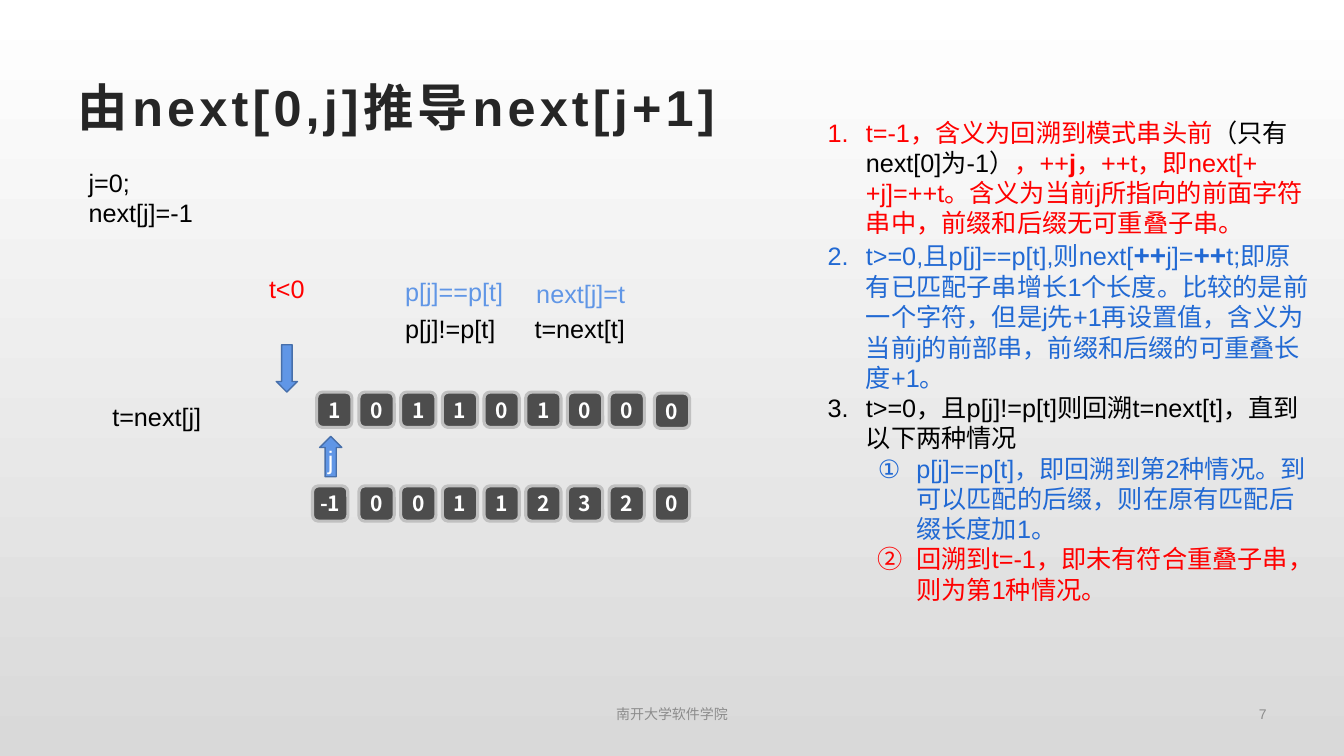
from lxml import etree
from pptx import Presentation
from pptx.dml.color import RGBColor
from pptx.enum.shapes import MSO_SHAPE
from pptx.enum.text import MSO_ANCHOR, MSO_AUTO_SIZE, PP_ALIGN
from pptx.oxml.ns import qn
from pptx.util import Inches, Pt

LEFT, CENTER, RIGHT = PP_ALIGN.LEFT, PP_ALIGN.CENTER, PP_ALIGN.RIGHT
MIDDLE = MSO_ANCHOR.MIDDLE
GROW, FIXED = MSO_AUTO_SIZE.SHAPE_TO_FIT_TEXT, MSO_AUTO_SIZE.NONE
ROUND, UP, DOWN = (MSO_SHAPE.ROUNDED_RECTANGLE, MSO_SHAPE.UP_ARROW,
                   MSO_SHAPE.DOWN_ARROW)

LATIN, HAN = "Arial", "Noto Sans CJK SC"
BLACK, WHITE, RED = "000000", "FFFFFF", "FF0000"
SKY, BLUE, EDGE = "6096E6", "2169D3", "476FAA"
DARK, SILVER, GRAY, INK = "4D4D4D", "C0C0C0", "8C8C8C", "262626"

# Each rule: level, then runs of text, colour, bold, size
RULES = [
    (0, [("t=-1，含义为回溯到模式串头前", RED, False, 18),
         ("（只有next[0]为-1）", BLACK, False, 18),
         ("，++", RED, False, 18),
         ("j", RED, True, 18),
         ("，++t，即next[++j]=++t。含义为当前j所指向的前面字符串中，"
          "前缀和后缀无可重叠子串。", RED, False, 18)]),
    (0, [("t>=0,且p[j]==p[t],则next[", BLUE, False, 18),
         ("++", BLUE, True, 20),
         ("j]=", BLUE, False, 18),
         ("++", BLUE, True, 20),
         ("t;即原有已匹配子串增长1个长度。比较的是前一个字符，"
          "但是j先+1再设置值，含义为当前j的前部串，"
          "前缀和后缀的可重叠长度+1。", BLUE, False, 18)]),
    (0, [("t>=0，且p[j]!=p[t]则回溯t=next[t]，直到以下两种情况",
          BLACK, False, 18)]),
    (1, [("p[j]==p[t]，即回溯到第2种情况。到可以匹配的后缀，"
          "则在原有匹配后缀长度加1。", BLUE, False, 18)]),
    (1, [("回溯到t=-1，即未有符合重叠子串，则为第1种情况。",
          RED, False, 18)]),
]


def color(text):
    return RGBColor.from_string(text)


def style(run, size, hue, bold=False, face=LATIN):
    font = run.font
    font.size, font.bold, font.name = Pt(size), bold, face
    font.color.rgb = color(hue)
    etree.SubElement(run.font._element, qn("a:ea"), typeface=HAN)


def write(frame, text, size, hue, align=LEFT, bold=False, face=LATIN):
    frame.text = text
    for para in frame.paragraphs:
        para.alignment = align
        for run in para.runs:
            style(run, size, hue, bold, face)


def place(item, x, y, w, h):
    item.left, item.top = Inches(x), Inches(y)
    item.width, item.height = Inches(w), Inches(h)


def add_box(slide, x, y, w, h, wrap=True):
    box = slide.shapes.add_textbox(Inches(x), Inches(y), Inches(w), Inches(h))
    box.text_frame.word_wrap = wrap
    return box.text_frame


def add_label(slide, text, x, y, w, h=0.4, hue=BLACK, align=LEFT, wrap=True):
    frame = add_box(slide, x, y, w, h, wrap)
    frame.auto_size = GROW
    write(frame, text, 18, hue, align)


def add_footer(slide, text, x, w, align):
    frame = add_box(slide, x, 6.91, w, 0.35)
    frame.vertical_anchor = MIDDLE
    write(frame, text, 10, GRAY, align)


def add_block(slide, kind, x, y, w, h, fill, line, width):
    block = slide.shapes.add_shape(kind, Inches(x), Inches(y),
                                   Inches(w), Inches(h))
    block.shadow.inherit = False
    block.fill.solid()
    block.fill.fore_color.rgb = color(fill)
    block.line.color.rgb = color(line)
    block.line.width = Pt(width)
    block.text_frame.vertical_anchor = MIDDLE
    return block


def add_cell(slide, text, x, y):
    cell = add_block(slide, ROUND, x, y, 0.35, 0.35, DARK, SILVER, 2.25)
    frame = cell.text_frame
    frame.word_wrap = False
    frame.margin_left = frame.margin_right = 0
    frame.margin_top = frame.margin_bottom = 0
    write(frame, text, 15, WHITE, CENTER, True, HAN)


def add_row(slide, values, first, y, last):
    # Inner cells share one step; the end cells stand slightly apart
    inner = [3.56 + 0.4135 * i for i in range(len(values) - 2)]
    for text, x in zip(values[:-1], [first] + inner):
        add_cell(slide, text, x, y)
    add_cell(slide, values[-1], 6.49, last)


def add_rules(slide):
    frame = add_box(slide, 8.11, 1.11, 4.97, 5.28)
    frame.auto_size = GROW
    for i, (level, parts) in enumerate(RULES):
        para = frame.paragraphs[0] if i == 0 else frame.add_paragraph()
        para.level = level
        props = para._p.get_or_add_pPr()
        props.set("marL", str(Inches(0.38 + 0.5 * level)))
        props.set("indent", str(-Inches(0.38)))
        kind = "circleNumDbPlain" if level else "arabicPeriod"
        etree.SubElement(props, qn("a:buFont"), typeface="+mj-lt")
        etree.SubElement(props, qn("a:buAutoNum"), type=kind)
        for text, hue, bold, size in parts:
            run = para.add_run()
            run.text = text
            style(run, size, hue, bold)


def add_title(slide, text):
    title = slide.shapes.title
    place(title, 0.67, 0.67, 12, 0.77)
    frame = title.text_frame
    frame.vertical_anchor, frame.auto_size = MIDDLE, FIXED
    write(frame, text, 36, INK, bold=True)
    frame.paragraphs[0].runs[0].font._element.set("spc", "300")


def set_back(slide):
    fill = slide.background.fill
    fill.gradient()
    fill.gradient_angle = 270
    for stop, hue in zip(fill.gradient_stops, (WHITE, "D9D9D9")):
        stop.color.rgb = color(hue)


def main():
    deck = Presentation()
    deck.slide_width, deck.slide_height = Inches(13.33), Inches(7.5)
    slide = deck.slides.add_slide(deck.slide_layouts[5])
    set_back(slide)
    add_title(slide, "由next[0,j]推导next[j+1]")

    # Pattern row and next row
    add_row(slide, list("101101000"), 3.14, 3.89, 3.9)
    add_row(slide, ["-1"] + list("00112320"), 3.1, 4.82, 4.82)

    # Pointers
    arrow = add_block(slide, UP, 3.17, 4.33, 0.22, 0.4, SKY, EDGE, 1)
    write(arrow.text_frame, "j", 18, WHITE, CENTER)
    add_block(slide, DOWN, 2.74, 3.42, 0.21, 0.47, SKY, EDGE, 1)

    # Labels
    add_label(slide, "j=0;\nnext[j]=-1", 0.78, 1.61, 1.43, 0.71)
    add_label(slide, "t=next[j]", 0.84, 3.93, 1.43, align=CENTER)
    add_label(slide, "t<0", 2.45, 2.66, 0.79, hue=RED, align=CENTER)
    add_label(slide, "p[j]==p[t]", 3.92, 2.69, 1.17, hue=SKY, wrap=False)
    add_label(slide, "p[j]!=p[t]", 3.92, 3.06, 1.1, wrap=False)
    add_label(slide, "next[j]=t", 5.22, 2.71, 1.08, hue=SKY, wrap=False)
    add_label(slide, "t=next[t]", 5.13, 3.06, 1.24, align=CENTER)

    # Rules and footer
    add_rules(slide)
    add_footer(slide, "南开大学软件学院", 4.5, 4.33, CENTER)
    add_footer(slide, "7", 9.71, 2.95, RIGHT)
    deck.save("out.pptx")


if __name__ == "__main__":
    main()
